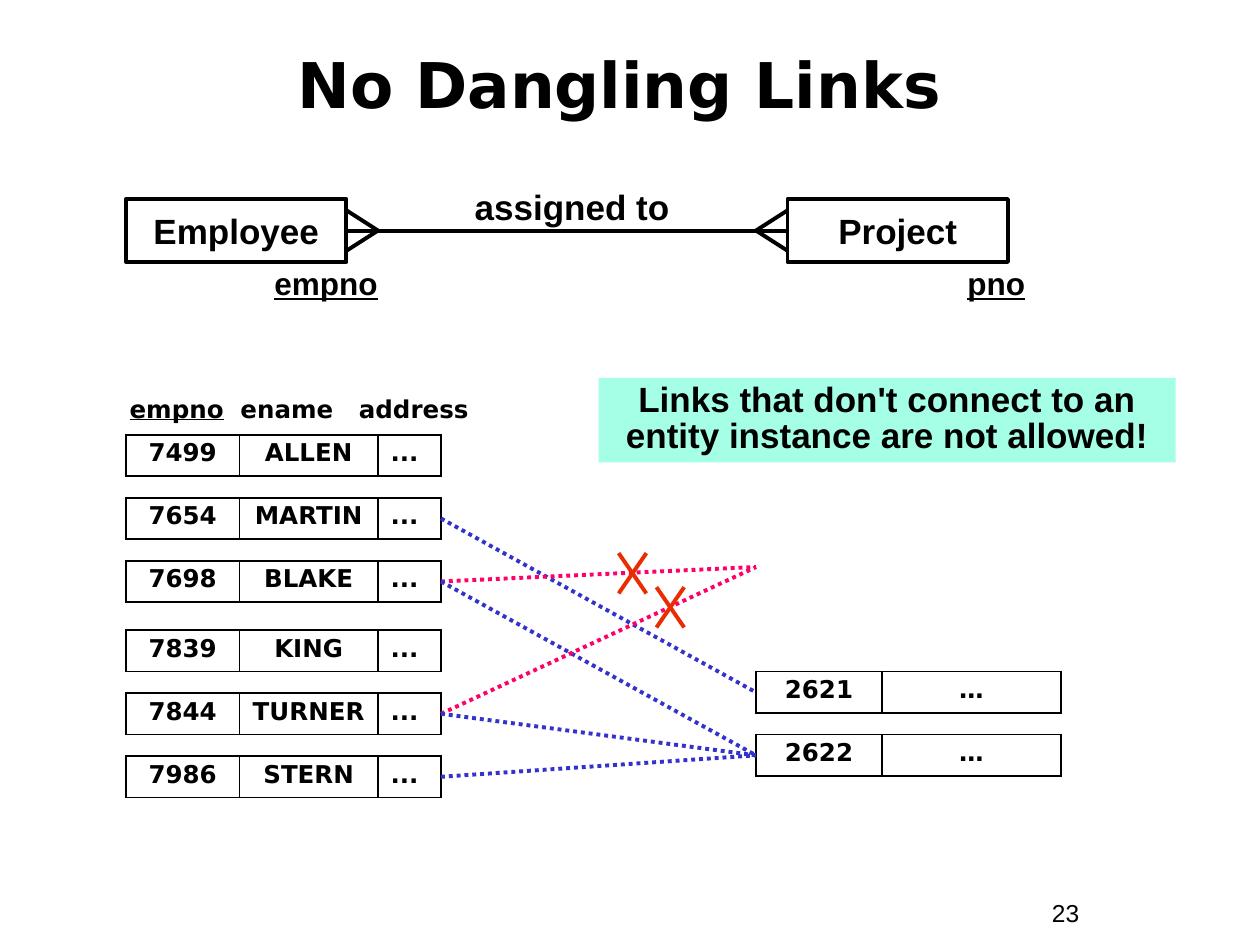
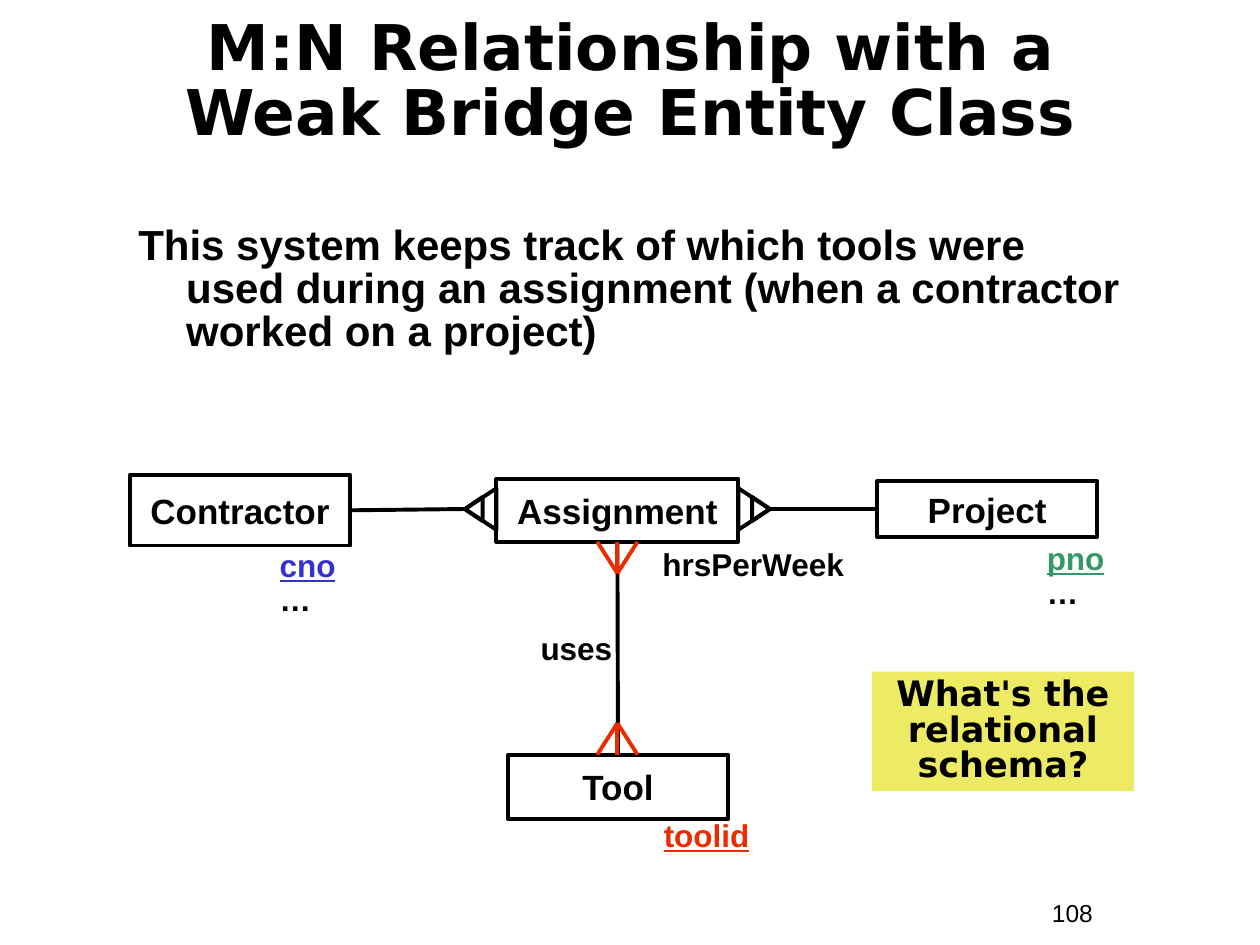
from dataclasses import dataclass

from lxml import etree
from pptx import Presentation
from pptx.dml.color import RGBColor
from pptx.enum.dml import MSO_LINE
from pptx.enum.shapes import MSO_CONNECTOR, MSO_SHAPE
from pptx.enum.text import MSO_ANCHOR, PP_ALIGN
from pptx.oxml.ns import qn
from pptx.util import Inches, Pt

STRAIGHT, RECTANGLE, TRIANGLE = MSO_CONNECTOR.STRAIGHT, MSO_SHAPE.RECTANGLE, MSO_SHAPE.ISOSCELES_TRIANGLE
LEFT, CENTER = PP_ALIGN.LEFT, PP_ALIGN.CENTER
TOP, MIDDLE = MSO_ANCHOR.TOP, MSO_ANCHOR.MIDDLE
DOTTED = MSO_LINE.ROUND_DOT
TOP_SIDE, LEFT_SIDE, BOTTOM_SIDE, RIGHT_SIDE = range(4)


@dataclass(frozen=True)
class Theme:
    black: str = "000000"
    blue: str = "3333CC"
    pink: str = "FF0066"
    red: str = "EA2D00"
    green: str = "339966"
    mint: str = "A5FFE7"
    yellow: str = "EDEA63"
    body_font: str = "Arial"
    title_font: str = "DejaVu Sans"
    title_size: int = 36
    statement_size: int = 24
    entity_size: int = 20
    attribute_size: int = 18
    small_size: int = 14
    line_width: float = 2.25
    border_width: float = 1.08


THEME = Theme()

# Content: boxes are (left, top, width, height) in inches
DANGLING = {
    "title": "No Dangling Links",
    "number": "23",
    "entities": {
        "Employee": (1, 1.58, 1.75, 0.5),
        "Project": (6.25, 1.58, 1.75, 0.5),
    },
    "keys": [("empno", (2.08, 2.08, 1.17, 0.37)), ("pno", (7.58, 2.08, 1.17, 0.37))],
    "relationship": ("assigned to", (3.5, 1.42, 2.08, 0.44)),
    "note": ("Links that don't connect to an entity instance are not allowed!",
             (4.75, 3, 4.58, 0.67)),
}
HEADINGS = ("empno", "\tename", "\taddress")
HEADING_TABS = (0.88, 1.82)

# Groups of records: left, first top, column widths, rows
ROW_HEIGHT, ROW_STEP = 0.33, 0.5
EMPLOYEE_COLUMNS, PROJECT_COLUMNS = (0.9, 1.1, 0.5), (1, 1.42)
RECORD_GROUPS = [
    (1, 3.45, EMPLOYEE_COLUMNS,
     [("7499", "ALLEN", "..."), ("7654", "MARTIN", "..."), ("7698", "BLAKE", "...")]),
    (1, 5, EMPLOYEE_COLUMNS,
     [("7839", "KING", "..."), ("7844", "TURNER", "..."), ("7986", "STERN", "...")]),
    (6, 5.33, PROJECT_COLUMNS, [("2621", "…"), ("2622", "…")]),
]
MISSING = "missing project"
MISSING_HEIGHT = 4.5
LINKS = [("7654", "2621"), ("7698", MISSING), ("7698", "2622"),
         ("7844", MISSING), ("7844", "2622"), ("7986", "2622")]
CROSS_CENTERS = [(5.02, 4.55), (5.32, 4.82)]
CROSS_HALF = (0.11, 0.16)

BRIDGE = {
    "title": "M:N Relationship with a\vWeak Bridge Entity Class",
    "number": "108",
    "statement": ("This system keeps track of which tools were used during an assignment "
                  "(when a contractor worked on a project)", (1, 1.75, 8, 1.12)),
    "entities": {
        "Contractor": (1.03, 3.77, 1.75, 0.56),
        "Assignment": (3.94, 3.8, 1.92, 0.5),
        "Project": (6.96, 3.82, 1.75, 0.44),
        "Tool": (4.03, 5.99, 1.75, 0.51),
    },
    "keys": [("cno", THEME.blue, (2.12, 4.32, 1.25, 0.64), True),
             ("pno", THEME.green, (8.21, 4.26, 1, 0.64), True),
             ("toolid", THEME.red, (5.17, 6.46, 1.33, 0.37), False)],
    "attribute": ("hrsPerWeek", (5.16, 4.31, 1.83, 0.37)),
    "relationship": ("uses", (3.91, 5, 1.33, 0.34)),
    "note": ("What's the relational schema?", (6.92, 5.33, 2.08, 0.95)),
}
FOOT_LENGTH, FOOT_SPREAD = 0.25, 0.16
WEAK_TRIANGLES = [(0.33, 0.25), (0.19, 0.14)]


# Text
def style(paragraph, size, font=THEME.body_font, color=THEME.black, bold=True,
          underline=False, align=LEFT, spacing=None):
    paragraph.alignment = align
    if spacing:
        paragraph.line_spacing = spacing
    paragraph.font.size = Pt(size)
    paragraph.font.name = font
    paragraph.font.bold = bold
    paragraph.font.underline = underline
    paragraph.font.color.rgb = RGBColor.from_string(color)


def add_text(slide, text, box, size, anchor=TOP, **options):
    shape = slide.shapes.add_textbox(*map(Inches, box))
    frame = shape.text_frame
    frame.word_wrap = True
    frame.vertical_anchor = anchor
    paragraph = frame.paragraphs[0]
    paragraph.text = text
    style(paragraph, size, **options)
    return frame


def add_key(slide, text, box, color=THEME.black, has_more=False):
    frame = add_text(slide, text, box, THEME.attribute_size, color=color,
                     underline=True, spacing=0.9)
    if has_more:
        paragraph = frame.add_paragraph()
        paragraph.text = "…"
        style(paragraph, THEME.attribute_size, spacing=0.9)


# Shapes and lines
def add_outlined(slide, kind, box):
    shape = slide.shapes.add_shape(kind, *map(Inches, box))
    shape.shadow.inherit = False
    shape.fill.background()
    shape.line.color.rgb = RGBColor.from_string(THEME.black)
    shape.line.width = Pt(THEME.line_width)
    return shape


def add_entity(slide, name, box):
    shape = add_outlined(slide, RECTANGLE, box)
    frame = shape.text_frame
    frame.word_wrap = False
    frame.vertical_anchor = MIDDLE
    frame.paragraphs[0].text = name
    style(frame.paragraphs[0], THEME.entity_size, align=CENTER)
    return shape


def add_note(slide, text, box, fill, font):
    shape = slide.shapes.add_shape(RECTANGLE, *map(Inches, box))
    shape.shadow.inherit = False
    shape.fill.solid()
    shape.fill.fore_color.rgb = RGBColor.from_string(fill)
    shape.line.fill.background()
    frame = shape.text_frame
    frame.word_wrap = True
    frame.vertical_anchor = TOP
    frame.paragraphs[0].text = text
    style(frame.paragraphs[0], THEME.entity_size, font=font, align=CENTER, spacing=0.85)


def add_line(slide, start, end, color=THEME.black, dash=None):
    connector = slide.shapes.add_connector(STRAIGHT, *map(Inches, (*start, *end)))
    connector.line.color.rgb = RGBColor.from_string(color)
    connector.line.width = Pt(THEME.line_width)
    if dash:
        connector.line.dash_style = dash
    etree.SubElement(connector._element.spPr, qn("a:effectLst"))
    return connector


def add_crow_foot(slide, base, direction, color=THEME.black, prongs=(-1, 1)):
    """Prongs run from the tip back to an entity side; direction points from side to tip."""
    (x, y), (dx, dy) = base, direction
    tip = (x + dx * FOOT_LENGTH, y + dy * FOOT_LENGTH)
    for prong in prongs:
        offset = prong * FOOT_SPREAD
        add_line(slide, tip, (x + dy * offset, y + dx * offset), color)


def add_weak_end(slide, tip, direction):
    """Nested triangles share a tip; direction is 1 for right and -1 for left."""
    x, y = tip
    for width, height in WEAK_TRIANGLES:
        center = x - direction * height / 2
        shape = add_outlined(slide, TRIANGLE, (center - width / 2, y - height / 2, width, height))
        shape.rotation = 90 * direction % 360


# Record tables
def set_borders(cell):
    properties = cell._tc.get_or_add_tcPr()
    for index, side in enumerate(("lnL", "lnR", "lnT", "lnB")):
        line = etree.Element(qn(f"a:{side}"), w=str(int(Pt(THEME.border_width))))
        fill = etree.SubElement(line, qn("a:solidFill"))
        etree.SubElement(fill, qn("a:srgbClr"), val=THEME.black)
        properties.insert(index, line)


def add_record(slide, values, left, top, columns):
    box = (left, top, sum(columns), ROW_HEIGHT)
    table = slide.shapes.add_table(1, len(columns), *map(Inches, box)).table
    table.first_row = table.horz_banding = False
    for index, (value, width) in enumerate(zip(values, columns)):
        table.columns[index].width = Inches(width)
        cell = table.cell(0, index)
        cell.fill.background()
        set_borders(cell)
        paragraph = cell.text_frame.paragraphs[0]
        paragraph.text = value
        style(paragraph, THEME.small_size, font=THEME.title_font, spacing=0.9,
              align=LEFT if value == "..." else CENTER)


def add_headings(slide):
    frame = add_text(slide, "", (0.93, 3.08, 3.61, 0.34), THEME.small_size, font=THEME.title_font)
    paragraph = frame.paragraphs[0]
    properties = paragraph._p.get_or_add_pPr()
    tabs = etree.Element(qn("a:tabLst"))
    for position in HEADING_TABS:
        etree.SubElement(tabs, qn("a:tab"), pos=str(int(Inches(position))), algn="l")
    properties.insert(0, tabs)
    for index, heading in enumerate(HEADINGS):
        run = paragraph.add_run()
        run.text = heading
        run.font.underline = index == 0


# Slides
def start_slide(presentation, content, spacing=None, title_box=(0.25, 0.33, 9.33, 0.67)):
    slide = presentation.slides.add_slide(presentation.slide_layouts[6])
    add_text(slide, content["number"], (8.25, 7.08, 0.92, 0.34), THEME.small_size, bold=False)
    add_text(slide, content["title"], title_box, THEME.title_size, anchor=MIDDLE,
             font=THEME.title_font, align=CENTER, spacing=spacing)
    entities = {name: add_entity(slide, name, box) for name, box in content["entities"].items()}
    return slide, entities


def build_dangling(presentation):
    slide, entities = start_slide(presentation, DANGLING)
    for text, box in DANGLING["keys"]:
        add_key(slide, text, box)

    # Relationship between the two entities
    start, end = (2.75, 1.83), (6.25, 1.83)
    line = add_line(slide, start, end)
    line.begin_connect(entities["Employee"], RIGHT_SIDE)
    line.end_connect(entities["Project"], LEFT_SIDE)
    add_crow_foot(slide, start, (1, 0))
    add_crow_foot(slide, end, (-1, 0))
    text, box = DANGLING["relationship"]
    add_text(slide, text, box, THEME.entity_size, align=CENTER)

    # Records, and the height at which each one is linked
    add_headings(slide)
    link_heights = {MISSING: MISSING_HEIGHT}
    for left, first_top, columns, rows in RECORD_GROUPS:
        for index, values in enumerate(rows):
            top = first_top + index * ROW_STEP
            add_record(slide, values, left, top, columns)
            link_heights[values[0]] = top + ROW_HEIGHT / 2

    for employee, project in LINKS:
        color = THEME.pink if project == MISSING else THEME.blue
        add_line(slide, (3.5, link_heights[employee]), (6, link_heights[project]), color, DOTTED)

    add_note(slide, *DANGLING["note"], THEME.mint, THEME.body_font)
    half_width, half_height = CROSS_HALF
    for x, y in CROSS_CENTERS:
        for slope in (-1, 1):
            add_line(slide, (x - half_width, y - slope * half_height),
                     (x + half_width, y + slope * half_height), THEME.red)


def build_bridge(presentation):
    slide, entities = start_slide(presentation, BRIDGE, 0.85, (0.17, 0.33, 9.67, 0.67))
    text, box = BRIDGE["statement"]
    frame = add_text(slide, text, box, THEME.statement_size, spacing=0.85)
    indent = int(Inches(0.38))
    properties = frame.paragraphs[0]._p.get_or_add_pPr()
    properties.set("marL", str(indent))
    properties.set("indent", str(-indent))

    # Keys, attribute and relationship name
    for text, color, box, has_more in BRIDGE["keys"]:
        add_key(slide, text, box, color, has_more)
    text, box = BRIDGE["attribute"]
    add_text(slide, text, box, THEME.attribute_size, spacing=0.9)
    text, box = BRIDGE["relationship"]
    add_text(slide, text, box, THEME.attribute_size, align=CENTER, spacing=0.8)
    add_note(slide, *BRIDGE["note"], THEME.yellow, THEME.title_font)

    # Weak ends of the bridge entity
    for name, side, tip, direction in (("Contractor", RIGHT_SIDE, (3.69, 4.04), -1),
                                       ("Project", LEFT_SIDE, (6.11, 4.04), 1)):
        add_line(slide, tip, tip).begin_connect(entities[name], side)
        add_weak_end(slide, tip, direction)

    # Tools used by an assignment
    start, end = (4.9, 4.3), (4.9, 5.99)
    line = add_line(slide, start, end)
    line.begin_connect(entities["Assignment"], BOTTOM_SIDE)
    line.end_connect(entities["Tool"], TOP_SIDE)
    add_crow_foot(slide, start, (0, 1), THEME.red, (-1, 0, 1))
    add_crow_foot(slide, end, (0, -1), THEME.red, (-1, 0, 1))


def main():
    presentation = Presentation()
    presentation.slide_width, presentation.slide_height = Inches(10), Inches(7.5)
    build_dangling(presentation)
    build_bridge(presentation)
    presentation.save("out.pptx")


if __name__ == "__main__":
    main()
